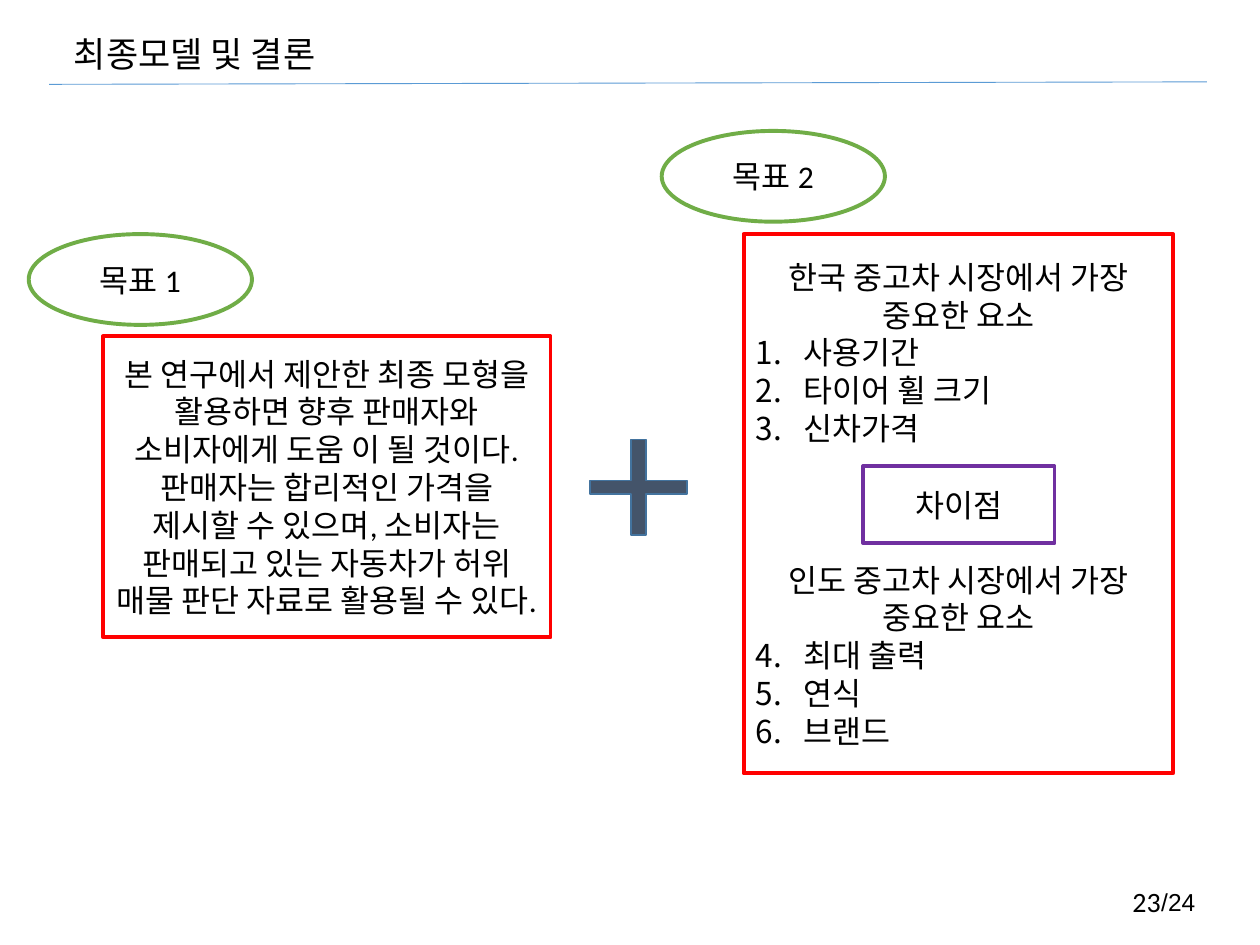
from lxml import etree
from pptx import Presentation
from pptx import util as u
from pptx.dml.color import RGBColor
from pptx.enum import shapes, text
from pptx.oxml.ns import qn

Cm = u.Cm
BLACK = RGBColor(0x00, 0x00, 0x00)
RED = RGBColor(0xFF, 0x00, 0x00)
GREEN = RGBColor(0x70, 0xAD, 0x47)
PURPLE = RGBColor(0x70, 0x30, 0xA0)
BLUE = RGBColor(0x5B, 0x9B, 0xD5)
SLATE = RGBColor(0x44, 0x54, 0x6A)
EDGE = RGBColor(0x43, 0x73, 0x9E)
HANGUL = "Noto Sans CJK KR"
KIND = shapes.MSO_SHAPE
ALIGN = text.PP_ALIGN
MIDDLE = text.MSO_ANCHOR.MIDDLE
INDENT = Cm(0.95)


def write(para, words, size=18, font="Calibri", align=ALIGN.CENTER, start=None, before=0):
    """Fill a paragraph; start is the first number of its list, if it is in one."""
    para.alignment = align
    if before:
        para.space_before = u.Pt(before)
    if start:
        props = para._p.get_or_add_pPr()
        props.set("marL", str(INDENT))
        props.set("indent", str(-INDENT))
        etree.SubElement(props, qn("a:buFont"), typeface="+mj-lt")
        etree.SubElement(props, qn("a:buAutoNum"), type="arabicPeriod", startAt=str(start))
    run = para.add_run()
    run.text = words
    run.font.size = u.Pt(size)
    run.font.name = font
    run.font.color.rgb = BLACK
    etree.SubElement(run._r.get_or_add_rPr(), qn("a:ea"), typeface=HANGUL)


def label(slide, box, words, anchor=text.MSO_ANCHOR.TOP, **form):
    frame = slide.shapes.add_textbox(*map(Cm, box)).text_frame
    frame.word_wrap = True
    frame.vertical_anchor = anchor
    write(frame.paragraphs[0], words, **form)


def shape(slide, kind, box, color, words=None, width=2.25, fill=None):
    item = slide.shapes.add_shape(kind, *map(Cm, box))
    item.shadow.inherit = False
    item.line.color.rgb = color
    item.line.width = u.Pt(width)
    if fill is None:
        item.fill.background()
    else:
        item.fill.solid()
        item.fill.fore_color.rgb = fill
    item.text_frame.vertical_anchor = MIDDLE
    if words:
        write(item.text_frame.paragraphs[0], words)
    return item


def rule(slide, x1, y1, x2, y2):
    line = slide.shapes.add_connector(shapes.MSO_CONNECTOR.STRAIGHT, *map(Cm, (x1, y1, x2, y2)))
    line.line.color.rgb = BLUE
    line.line.width = u.Pt(0.5)
    etree.SubElement(line._element.spPr, qn("a:effectLst"))


def market(frame, para, land, items, start, before=0):
    """Heading for one country and its numbered factors."""
    write(para, f"{land} 중고차 시장에서 가장 중요한 요소", before=before)
    for item in items:
        write(frame.add_paragraph(), item, align=ALIGN.LEFT, start=start)


def main():
    deck = Presentation()
    deck.slide_width, deck.slide_height = Cm(25.4), Cm(19.05)
    slide = deck.slides.add_slide(deck.slide_layouts[6])

    # Title and page number
    label(slide, (1.24, 0.53, 9.02, 1.12), "최종모델 및 결론", size=20, font=HANGUL, align=ALIGN.LEFT)
    rule(slide, 0.99, 1.7, 24.33, 1.65)
    label(slide, (17.93, 17.65, 5.72, 1.02), "23", anchor=MIDDLE, size=16, align=ALIGN.RIGHT)
    label(slide, (23.16, 17.75, 1.45, 0.86), "/24", size=14, font="Arial", align=ALIGN.LEFT)

    # Goal 2: factors in the two markets
    panel = shape(slide, KIND.RECTANGLE, (14.99, 4.72, 8.66, 10.87), RED)
    frame = panel.text_frame
    market(frame, frame.paragraphs[0], "한국", ("사용기간", "타이어 휠 크기", "신차가격"), 1)
    market(frame, frame.add_paragraph(), "인도", ("최대 출력", "연식", "브랜드"), 4, before=65)

    # Plus sign between the goals
    plus = shape(slide, KIND.CROSS, (11.89, 8.86, 1.96, 1.93), EDGE, width=1, fill=SLATE)
    plus.adjustments[0] = 0.43

    # Goal 1: use of the model
    shape(slide, KIND.RECTANGLE, (2.08, 6.78, 9.02, 6.07), RED,
          "본 연구에서 제안한 최종 모형을 활용하면 향후 판매자와 소비자에게 도움 이 될 것이다. "
          "판매자는 합리적인 가격을 제시할 수 있으며, 소비자는 판매되고 있는 자동차가 허위 매물 "
          "판단 자료로 활용될 수 있다.")

    # Goal tags and the difference box
    for left, top, words in ((13.34, 2.64, "목표 2"), (0.58, 4.72, "목표 1")):
        shape(slide, KIND.OVAL, (left, top, 4.5, 1.83), GREEN, words)
    shape(slide, KIND.RECTANGLE, (17.4, 9.4, 3.86, 1.55), PURPLE, "차이점")

    deck.save("out.pptx")


if __name__ == "__main__":
    main()
